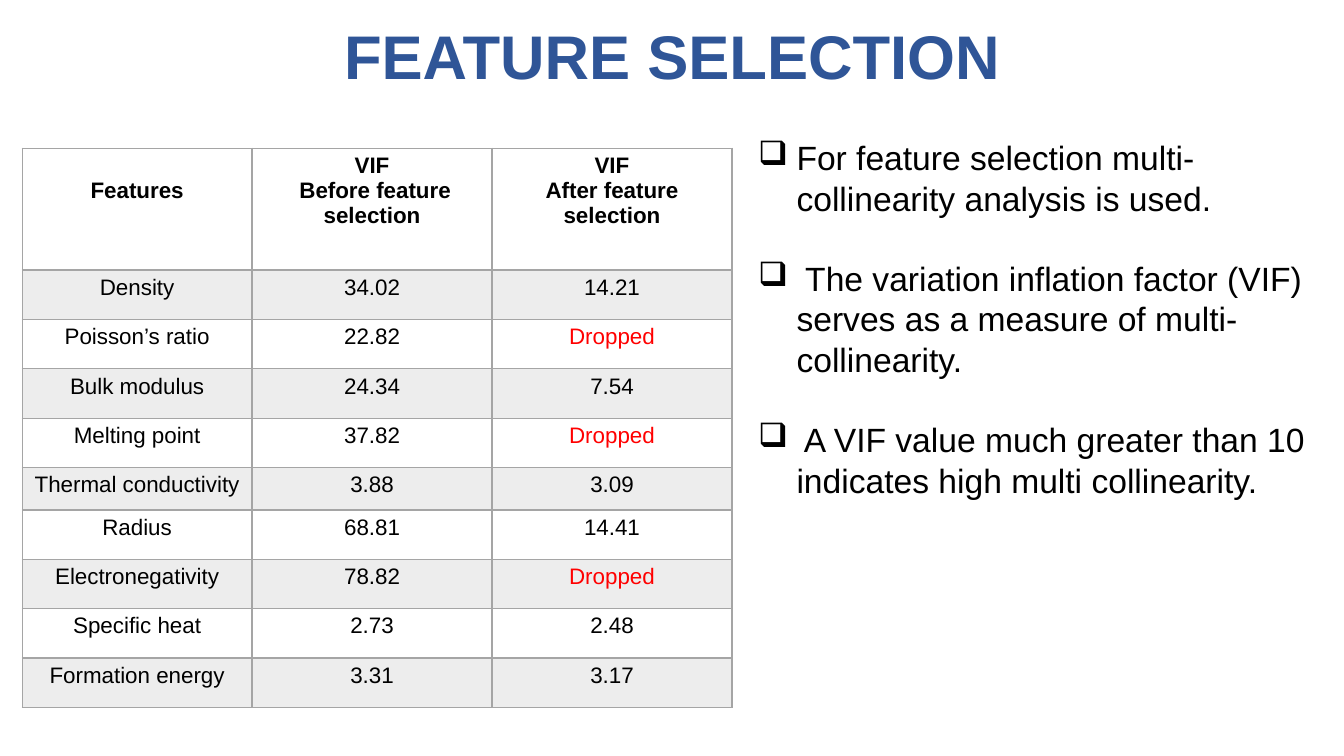
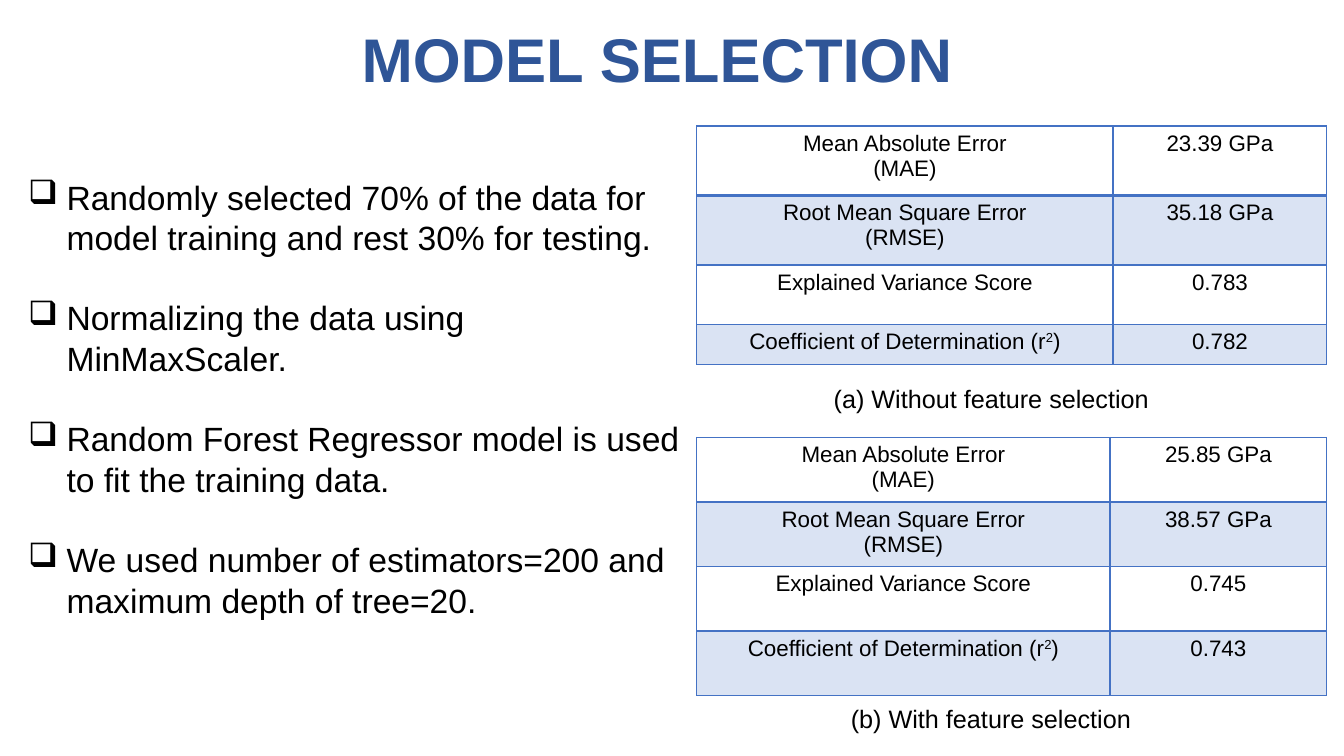
from dataclasses import dataclass

from lxml import etree
from pptx import Presentation
from pptx import util as u
from pptx.dml.color import RGBColor
from pptx.enum import text
from pptx.oxml import ns


@dataclass(frozen=True)
class Theme:
    font: str = "Arial"
    title: str = "2F5597"
    ink: str = "000000"
    alert: str = "FF0000"
    gray: tuple = ("A5A5A5", "EDEDED")
    blue: tuple = ("4472C4", "DAE3F3")
    title_size: float = 44
    body_size: float = 24
    body_pitch: float = 28.8
    caption_size: float = 18
    table_size: float = 16


class Deck:
    def __init__(self, theme):
        self.theme = theme
        self.file = Presentation()
        self.file.slide_width = u.Inches(13.33)
        self.file.slide_height = u.Inches(7.5)
        self.page = None

    def add_page(self):
        self.page = self.file.slides.add_slide(self.file.slide_layouts[6])

    def add_span(self, para, words, size, color=None, bold=False, raised=False):
        span = para.add_run()
        span.text = words
        span.font.name = self.theme.font
        span.font.size = u.Pt(size)
        span.font.bold = bold
        span.font.color.rgb = RGBColor.from_string(color or self.theme.ink)
        if raised:
            span._r.get_or_add_rPr().set("baseline", "30000")

    def add_frame(self, left, top, width, height, wrap=True, inset=True):
        box = self.page.shapes.add_textbox(*map(u.Inches, (left, top, width, height)))
        frame = box.text_frame
        frame.word_wrap = wrap
        if not inset:
            frame.margin_left = frame.margin_right = 0
            frame.margin_top = frame.margin_bottom = 0
        return frame

    def add_title(self, words, left, top, height):
        frame = self.add_frame(left, top, 10, height, inset=False)
        frame.vertical_anchor = text.MSO_ANCHOR.MIDDLE
        para = frame.paragraphs[0]
        para.alignment = text.PP_ALIGN.CENTER
        para.line_spacing = 0.9
        self.add_span(para, words, self.theme.title_size, self.theme.title, bold=True)

    def add_bullets(self, items, left, top, width, height):
        frame = self.add_frame(left, top, width, height, inset=False)
        for index, words in enumerate(items):
            para = frame.add_paragraph() if index else frame.paragraphs[0]
            para.line_spacing = u.Pt(self.theme.body_pitch)
            para.space_after = u.Pt(self.theme.body_pitch)
            props = para._p.get_or_add_pPr()
            indent = u.Inches(0.38)
            props.set("marL", str(indent))
            props.set("indent", str(-indent))
            etree.SubElement(props, ns.qn("a:buChar"), char="❑")
            self.add_span(para, words, self.theme.body_size)

    def add_caption(self, words, left, top, width):
        frame = self.add_frame(left, top, width, 0.4, wrap=False)
        self.add_span(frame.paragraphs[0], words, self.theme.caption_size)

    def set_borders(self, cell, color, widths):
        props = cell._tc.get_or_add_tcPr()
        for side, width in zip("LRTB", widths):
            line = etree.SubElement(props, ns.qn(f"a:ln{side}"), w=str(u.Pt(width)))
            fill = etree.SubElement(line, ns.qn("a:solidFill"))
            etree.SubElement(fill, ns.qn("a:srgbClr"), val=color)

    def fill_cell(self, cell, words, bold):
        color = self.theme.alert if words == "Dropped" else self.theme.ink
        frame = cell.text_frame
        for index, line in enumerate(words.split("\n")):
            para = frame.add_paragraph() if index else frame.paragraphs[0]
            para.alignment = text.PP_ALIGN.CENTER
            for part, piece in enumerate(line.split("^")):
                self.add_span(para, piece, self.theme.table_size, color, bold, part == 1)

    def add_table(self, rows, left, top, widths, heights, palette, bold_head=False):
        line, band = palette
        table = self.page.shapes.add_table(
            len(rows), len(widths), u.Inches(left), u.Inches(top),
            u.Inches(sum(widths)), u.Inches(sum(heights))).table
        table.first_row = table.horz_banding = False
        for column, width in zip(table.columns, widths):
            column.width = u.Inches(width)
        for index, (row, height) in enumerate(zip(rows, heights)):
            table.rows[index].height = u.Inches(height)
            edges = (1, 1, 2 if index == 1 else 1, 2 if index == 0 else 1)
            for cell, words in zip(table.rows[index].cells, row):
                self.set_borders(cell, line, edges)
                if index % 2:
                    cell.fill.solid()
                    cell.fill.fore_color.rgb = RGBColor.from_string(band)
                else:
                    cell.fill.background()
                self.fill_cell(cell, words, bold_head and index == 0)
        return table


FEATURES = [
    ("Features", "VIF\n Before feature selection", "VIF\nAfter feature selection"),
    ("Density", "34.02", "14.21"),
    ("Poisson’s ratio", "22.82", "Dropped"),
    ("Bulk modulus", "24.34", "7.54"),
    ("Melting point", "37.82", "Dropped"),
    ("Thermal conductivity", "3.88", "3.09"),
    ("Radius", "68.81", "14.41"),
    ("Electronegativity", "78.82", "Dropped"),
    ("Specific heat", "2.73", "2.48"),
    ("Formation energy", "3.31", "3.17"),
]
METRICS = (
    "Mean Absolute Error\n(MAE)",
    "Root Mean Square Error\n(RMSE)",
    "Explained Variance Score",
    "Coefficient of Determination (r^2^)",
)


def feature_selection(deck):
    deck.add_page()
    deck.add_title("FEATURE SELECTION", 1.67, 0, 1.18)
    heights = [1.21] + [0.49] * 4 + [0.42] + [0.49] * 4
    table = deck.add_table(FEATURES, 0.22, 1.47, (2.28, 2.38, 2.38), heights,
                           deck.theme.gray, bold_head=True)
    table.cell(0, 0).margin_top = u.Inches(0.3)
    deck.add_bullets((
        "For feature selection multi-collinearity analysis is used.",
        " The variation inflation factor (VIF) serves as a measure of multi-collinearity.",
        " A VIF value much greater than 10 indicates high multi collinearity.",
    ), 7.52, 1.36, 5.81, 5.15)


def model_selection(deck):
    deck.add_page()
    deck.add_title("MODEL SELECTION", 1.52, 0.02, 1.21)
    deck.add_bullets((
        "Randomly selected 70% of the data for model training and rest 30% for testing.",
        "Normalizing the data using MinMaxScaler.",
        "Random Forest Regressor model is used to fit the training data.",
        "We used number of estimators=200 and maximum depth of tree=20.",
    ), 0.28, 1.75, 6.48, 5.18)
    results = (
        (("23.39 GPa", "35.18 GPa", "0.783", "0.782"),
         1.25, (4.13, 2.12), (0.69, 0.69, 0.59, 0.4)),
        (("25.85 GPa", "38.57 GPa", "0.745", "0.743"),
         4.34, (4.1, 2.15), (0.64,) * 4),
    )
    for scores, top, widths, heights in results:
        deck.add_table(list(zip(METRICS, scores)), 6.91, top, widths, heights,
                       deck.theme.blue)
    deck.add_caption("(a) Without feature selection", 8.17, 3.75, 3.36)
    deck.add_caption("(b) With feature selection", 8.34, 6.93, 3.01)


def main():
    deck = Deck(Theme())
    feature_selection(deck)
    model_selection(deck)
    deck.file.save("out.pptx")


if __name__ == "__main__":
    main()
